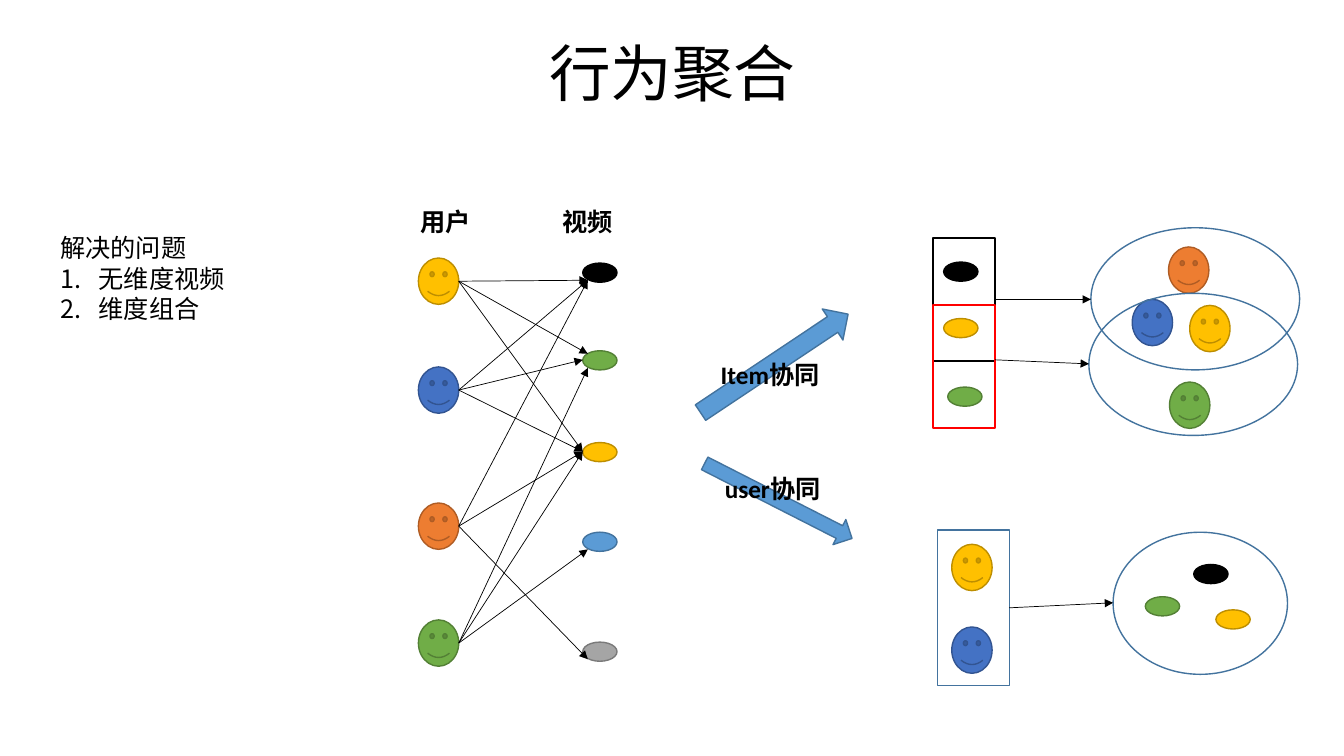
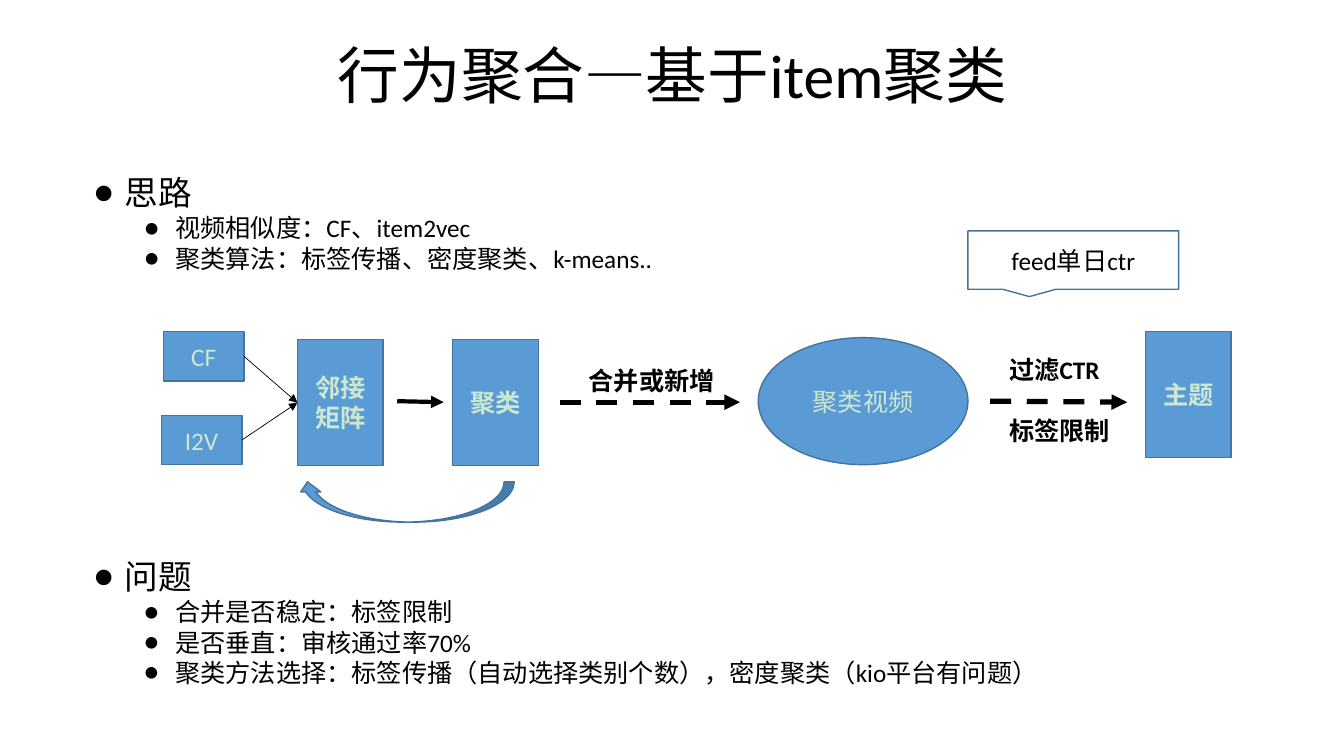
"""Build two slides on behaviour aggregation and item clustering."""
from lxml import etree
from pptx import Presentation
from pptx.dml.color import RGBColor
from pptx.enum.dml import MSO_LINE
from pptx.enum.lang import MSO_LANGUAGE_ID
from pptx.enum.shapes import MSO_CONNECTOR, MSO_SHAPE
from pptx.enum.text import MSO_ANCHOR, PP_ALIGN
from pptx.oxml.ns import qn
from pptx.util import Inches, Pt

FACE, OVAL, RECT = MSO_SHAPE.SMILEY_FACE, MSO_SHAPE.OVAL, MSO_SHAPE.RECTANGLE
BLOCK_ARROW, LOOP_ARROW = MSO_SHAPE.RIGHT_ARROW, MSO_SHAPE.CURVED_DOWN_ARROW
CALLOUT = MSO_SHAPE.RECTANGULAR_CALLOUT
STRAIGHT, DASH = MSO_CONNECTOR.STRAIGHT, MSO_LINE.DASH
LEFT, CENTER = PP_ALIGN.LEFT, PP_ALIGN.CENTER
TOP, MIDDLE = MSO_ANCHOR.TOP, MSO_ANCHOR.MIDDLE
CHINESE = MSO_LANGUAGE_ID.SIMPLIFIED_CHINESE
FONT = "Calibri"

BLACK = RGBColor(0x00, 0x00, 0x00)
RED = RGBColor(0xFF, 0x00, 0x00)
PALE = RGBColor(0xCC, 0xE8, 0xCF)
STEEL = RGBColor(0x43, 0x73, 0x9E)
INK = (BLACK, BLACK)
SKY = (RGBColor(0x5B, 0x9B, 0xD5), STEEL)
BLUE = (RGBColor(0x44, 0x72, 0xC4), RGBColor(0x32, 0x54, 0x91))
GREEN = (RGBColor(0x70, 0xAD, 0x47), RGBColor(0x53, 0x80, 0x35))
GOLD = (RGBColor(0xFF, 0xC0, 0x00), RGBColor(0xBD, 0x8E, 0x00))
ORANGE = (RGBColor(0xED, 0x7D, 0x31), RGBColor(0xAF, 0x5C, 0x24))
GREY = (RGBColor(0xA5, 0xA5, 0xA5), RGBColor(0x7A, 0x7A, 0x7A))
OUTLINE = (None, STEEL)

FACE_SIZE = (0.4, 0.46)
VIDEO_SIZE = (0.34, 0.19)
BULLETS = {
    "topic": (0.31, "a:buChar", {"char": "●"}),
    "detail": (0.81, "a:buChar", {"char": "●"}),
    "number": (0.38, "a:buAutoNum", {"type": "arabicPeriod"}),
}


def add_figure(slide, preset, box, colours, width=1, rotation=0):
    figure = slide.shapes.add_shape(preset, *map(Inches, box))
    fill, line = colours
    if fill is None:
        figure.fill.background()
    else:
        figure.fill.solid()
        figure.fill.fore_color.rgb = fill
    figure.line.color.rgb = line
    figure.line.width = Pt(width)
    figure.rotation = rotation
    figure.shadow.inherit = False
    return figure


def add_arrow(slide, start, end, width=0.5, dash=None):
    arrow = slide.shapes.add_connector(STRAIGHT, *map(Inches, start + end))
    arrow.line.color.rgb = BLACK
    arrow.line.width = Pt(width)
    arrow.line.dash_style = dash
    outline = arrow._element.spPr.find(qn("a:ln"))
    etree.SubElement(outline, qn("a:tailEnd"), type="triangle")
    etree.SubElement(arrow._element.spPr, qn("a:effectLst"))
    return arrow


deck = Presentation()
deck.slide_width, deck.slide_height = Inches(13.33), Inches(7.5)
aggregation, clustering = [deck.slides.add_slide(deck.slide_layouts[6]) for _ in range(2)]

user_tops = {"gold": 2.56, "blue": 3.64, "orange": 4.99, "green": 6.15}
user_colours = {"gold": GOLD, "blue": BLUE, "orange": ORANGE, "green": GREEN}
video_tops = {"black": 2.61, "green": 3.48, "gold": 4.39, "sky": 5.28, "grey": 6.37}
video_colours = {"black": INK, "green": GREEN, "gold": GOLD, "sky": SKY, "grey": GREY}
for user, top in user_tops.items():
    add_figure(aggregation, FACE, (4.15, top) + FACE_SIZE, user_colours[user])
for video, top in video_tops.items():
    add_figure(aggregation, OVAL, (5.78, top) + VIDEO_SIZE, video_colours[video])

contact = {"upper": (5.83, 0.03), "middle": (5.78, 0.09), "lower": (5.83, 0.17)}
views = {
    "gold": [("black", "lower"), ("green", "upper"), ("gold", "middle")],
    "blue": [("black", "lower"), ("green", "middle"), ("gold", "middle")],
    "orange": [("black", "lower"), ("gold", "middle"), ("grey", "lower")],
    "green": [("green", "lower"), ("gold", "middle"), ("sky", "lower")],
}
for user, watched in views.items():
    for video, side in watched:
        x, offset = contact[side]
        add_arrow(aggregation, (4.55, user_tops[user] + 0.23), (x, video_tops[video] + offset))

grouped = [
    (OVAL, VIDEO_SIZE, INK, [(9.36, 2.6), (11.84, 5.6)]),
    (OVAL, VIDEO_SIZE, GOLD, [(9.36, 3.16), (12.06, 6.05)]),
    (OVAL, VIDEO_SIZE, GREEN, [(9.4, 3.84), (11.36, 5.92)]),
    (FACE, FACE_SIZE, BLUE, [(11.23, 2.97), (9.44, 6.22)]),
    (FACE, FACE_SIZE, GOLD, [(11.8, 3.03), (9.44, 5.4)]),
    (FACE, FACE_SIZE, ORANGE, [(11.59, 2.45)]),
    (FACE, FACE_SIZE, GREEN, [(11.6, 3.79)]),
]
for preset, size, colours, places in grouped:
    for place in places:
        add_figure(aggregation, preset, place + size, colours)

first_pair = add_figure(aggregation, RECT, (9.25, 2.36, 0.62, 1.22), (None, BLACK), 1.5)
add_figure(aggregation, RECT, (9.25, 3.03, 0.62, 1.22), (None, RED), 1.5)
user_pair = add_figure(aggregation, RECT, (9.3, 5.26, 0.71, 1.54), OUTLINE)
for audience in [(10.82, 2.26, 2.07, 1.41), (10.8, 2.91, 2.07, 1.41), (11.04, 5.28, 1.73, 1.41)]:
    add_figure(aggregation, OVAL, audience, OUTLINE)
add_arrow(aggregation, (9.87, 2.97), (10.82, 2.97)).begin_connect(first_pair, 3)
add_arrow(aggregation, (9.87, 3.57), (10.8, 3.61))
add_arrow(aggregation, (10.01, 6.03), (11.04, 5.98)).begin_connect(user_pair, 3)
add_figure(aggregation, BLOCK_ARROW, (6.8, 3.42, 1.76, 0.37), SKY, rotation=326.3)
add_figure(aggregation, BLOCK_ARROW, (6.9, 4.83, 1.64, 0.28), SKY, rotation=27)

cf = add_figure(clustering, RECT, (1.62, 3.29, 0.8, 0.49), SKY)
i2v = add_figure(clustering, RECT, (1.6, 4.12, 0.8, 0.49), SKY)
matrix = add_figure(clustering, RECT, (2.95, 3.37, 0.85, 1.25), SKY)
clusters = add_figure(clustering, RECT, (4.49, 3.37, 0.85, 1.25), SKY)
clustered_videos = add_figure(clustering, OVAL, (7.52, 3.35, 2.08, 1.26), SKY)
topic = add_figure(clustering, RECT, (11.36, 3.29, 0.85, 1.25), SKY)
feed_note = add_figure(clustering, CALLOUT, (9.6, 2.29, 2.09, 0.58), OUTLINE)
add_figure(clustering, LOOP_ARROW, (2.95, 4.78, 2.15, 0.4), SKY, rotation=180)
for similarity in (cf, i2v):
    feed = add_arrow(clustering, (2.42, 3.54), (2.95, 3.99))
    feed.begin_connect(similarity, 3)
    feed.end_connect(matrix, 1)
add_arrow(clustering, (3.94, 3.98), (4.4, 3.99), 3)
add_arrow(clustering, (5.55, 3.99), (7.34, 3.99), 3.75, DASH)
add_arrow(clustering, (9.82, 3.98), (11.18, 3.99), 3.75, DASH)

shape_labels = [
    (cf, "CF", False, PALE),
    (i2v, "I2V", False, PALE),
    (matrix, "邻接矩阵", True, PALE),
    (clusters, "聚类", True, PALE),
    (clustered_videos, "聚类视频", False, PALE),
    (topic, "主题", True, PALE),
    (feed_note, "feed单日ctr", False, BLACK),
]
text_boxes = [
    (aggregation, (0.92, 0.03, 11.5, 1.45), False, [("行为聚合", "title")]),
    (aggregation, (4.07, 2, 0.71, 0.4), True, [("用户", "")]),
    (aggregation, (5.48, 2, 0.71, 0.4), True, [("视频", "")]),
    (aggregation, (7.05, 3.52, 1.19, 0.4), True, [("Item协同", "")]),
    (aggregation, (7.09, 4.65, 1.15, 0.4), True, [("user协同", "")]),
    (aggregation, (0.5, 2.26, 1.84, 1.01), False, [
        ("解决的问题", ""), ("无维度视频", "number"), ("维度组合", "number")]),
    (clustering, (0.92, 0.05, 11.5, 1.45), False, [("行为聚合—基于item聚类", "title")]),
    (clustering, (0.83, 1.66, 5.81, 1.11), False, [
        ("思路", "topic"),
        ("视频相似度：CF、item2vec", "detail"),
        ("聚类算法：标签传播、密度聚类、k-means..", "detail")]),
    (clustering, (5.74, 3.58, 1.47, 0.4), True, [("合并或新增", "")]),
    (clustering, (9.91, 3.47, 1.22, 1.01), True, [("过滤CTR", ""), ("标签限制", "spaced")]),
    (clustering, (0.83, 5.47, 9.66, 1.41), False, [
        ("问题", "topic"),
        ("合并是否稳定：标签限制", "detail"),
        ("是否垂直：审核通过率70%", "detail"),
        ("聚类方法选择：标签传播（自动选择类别个数），密度聚类（kio平台有问题）", "detail")]),
]
texts = [(figure.text_frame, bold, colour, [(label, "label")])
         for figure, label, bold, colour in shape_labels]
texts += [(slide.shapes.add_textbox(*map(Inches, box)).text_frame, bold, BLACK, lines)
          for slide, box, bold, lines in text_boxes]

for frame, bold, colour, lines in texts:
    frame.word_wrap = True
    frame.vertical_anchor = MIDDLE if lines[0][1] in ("title", "label") else TOP
    for index, (words, role) in enumerate(lines):
        paragraph = frame.add_paragraph() if index else frame.paragraphs[0]
        paragraph.alignment = CENTER if role in ("title", "label") else LEFT
        if role == "title":
            paragraph.line_spacing = 0.9
        if role == "spaced":
            paragraph.space_before = Pt(22)
        if role in BULLETS:
            indent, tag, settings = BULLETS[role]
            hanging = 0.38 if role == "number" else 0.31
            properties = paragraph._p.get_or_add_pPr()
            properties.set("marL", str(Inches(indent)))
            properties.set("indent", str(-Inches(hanging)))
            etree.SubElement(properties, qn("a:buFont"), typeface=FONT)
            etree.SubElement(properties, qn(tag), settings)
        if role == "detail":
            paragraph.level = 1
        run = paragraph.add_run()
        run.text = words
        run.font.name = FONT
        run.font.size = Pt({"title": 44, "topic": 24}.get(role, 18))
        run.font.bold = bold
        run.font.color.rgb = colour
        run.font.language_id = CHINESE

deck.save("out.pptx")
